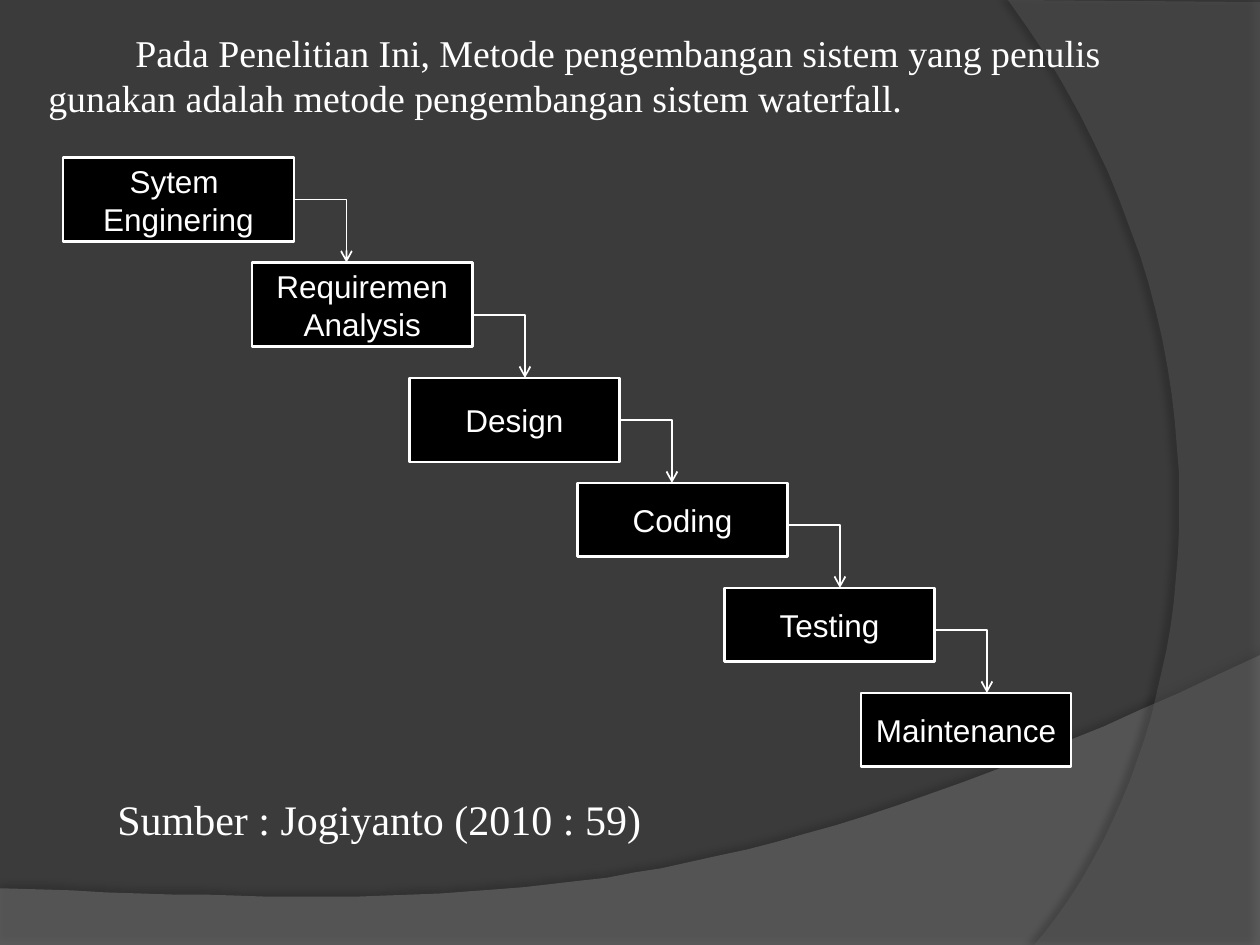
from lxml.etree import SubElement
from pptx import Presentation
from pptx.dml.color import RGBColor
from pptx.enum.shapes import MSO_CONNECTOR, MSO_SHAPE
from pptx.enum.text import MSO_ANCHOR, MSO_AUTO_SIZE, PP_ALIGN
from pptx.oxml.ns import qn
from pptx.util import Pt

UNIT = 7620
INK = {"back": "3B3B3B", "wave": "7F7F7F", "arc": "5E5E5E", "box": "000000", "text": "FFFFFF"}
SERIF, SANS = "Times New Roman", "Arial"
STEPS = [
    ("Sytem \nEnginering", (60, 150, 220, 80), 40),
    ("Requiremen Analysis", (240, 250, 210, 80), 50),
    ("Design", (390, 360, 200, 80), 40),
    ("Coding", (550, 460, 200, 70), 40),
    ("Testing", (690, 560, 200, 70), 40),
    ("Maintenance", (820, 660, 200, 70), 40),
]


def px(*vals):
    """Turn px lengths into EMU."""
    return [val * UNIT for val in vals]


def tint(fmt, name):
    """Give a fill one solid colour."""
    fmt.solid()
    fmt.fore_color.rgb = RGBColor.from_string(INK[name])


def style(frame, face, size, align):
    """Format all paragraphs of a text frame alike."""
    frame.word_wrap = True
    frame.vertical_anchor = MSO_ANCHOR.MIDDLE
    for para in frame.paragraphs:
        para.alignment = align
        para.font.name = face
        para.font.size = Pt(size)
        para.font.color.rgb = RGBColor.from_string(INK["text"])


def curve(start, ctrl, steps=40):
    """List the points of a cubic curve after its start."""
    pts = [start, *ctrl]
    out = []
    for i in range(1, steps + 1):
        t = i / steps
        mix = ((1 - t) ** 3, 3 * t * (1 - t) ** 2, 3 * t * t * (1 - t), t ** 3)
        out.append(tuple(sum(m * p[k] for m, p in zip(mix, pts)) for k in (0, 1)))
    return out


def swoosh(slide, box, name, alpha, edge, ctrl, shade):
    """Draw a see-through curved panel behind all else."""
    left, top = box
    pen = slide.shapes.build_freeform(*edge[0], scale=UNIT)
    pen.add_line_segments(edge[1:] + curve(edge[-1], ctrl), close=True)
    shape = pen.convert_to_shape(*px(left, top))
    tint(shape.fill, name)
    shape.line.fill.background()
    shape.shadow.inherit = False
    props = shape._element.spPr
    color = props.find(qn("a:solidFill"))[0]
    SubElement(color, qn("a:alpha"), val=str(alpha * 1000))
    dark, dist, turn = shade
    cast = SubElement(props.find(qn("a:effectLst")), qn("a:outerShdw"), blurRad=str(Pt(4)),
                      dist=str(Pt(dist)), dir=str(turn * 60000), rotWithShape="0")
    color = SubElement(cast, qn("a:srgbClr"), val="000000")
    SubElement(color, qn("a:alpha"), val=str(dark * 1000))
    return shape._element


def scene(slide):
    """Paint the backdrop with its two curved panels."""
    tint(slide.background.fill, "back")
    wave = swoosh(slide, (0, 624), "wave", 45, [(0, 222), (0, 276), (1200, 276), (1200, 0)],
                  [(671, 251), (469, 239), (0, 222)], (35, 3.5, 270))
    arc = swoosh(slide, (960, 0), "arc", 40, [(0, 0), (240, 2), (240, 900), (25, 900)],
                 [(162, 743), (262, 360), (0, 0)], (45, 4, 180))
    for node in (arc, wave):
        slide.shapes._spTree.insert(2, node)


def intro(slide, box):
    """Fill the title with an indented sentence."""
    title = slide.shapes.title
    title.left, title.top, title.width, title.height = px(*box)
    frame = title.text_frame
    frame.text = ("Pada Penelitian Ini, Metode pengembangan sistem yang penulis "
                  "gunakan adalah metode pengembangan sistem waterfall.")
    frame.auto_size = MSO_AUTO_SIZE.NONE
    frame.margin_left = frame.margin_right = frame.margin_top = frame.margin_bottom = 6 * UNIT
    style(frame, SERIF, 21.6, PP_ALIGN.LEFT)
    frame.paragraphs[0]._p.get_or_add_pPr().set("indent", str(83 * UNIT))


def credit(slide, box):
    """Write the source line."""
    frame = slide.shapes.add_textbox(*px(*box)).text_frame
    frame.text = "Sumber : Jogiyanto (2010 : 59)"
    style(frame, SERIF, 24, PP_ALIGN.JUSTIFY)


def stage(slide, text, box):
    """Draw one framed stage."""
    shape = slide.shapes.add_shape(MSO_SHAPE.RECTANGLE, *px(*box))
    shape.shadow.inherit = False
    tint(shape.fill, "box")
    tint(shape.line.fill, "text")
    shape.line.width = Pt(1.5)
    shape.text_frame.text = text
    style(shape.text_frame, SANS, 18, PP_ALIGN.CENTER)


def arrow(slide, x, y):
    """Draw a bent arrow that goes right, then down."""
    link = slide.shapes.add_connector(MSO_CONNECTOR.ELBOW, *px(x, y, x + 50, y + 60))
    tint(link.line.fill, "text")
    link.line.width = Pt(1)
    props = link._element.spPr
    props.find(qn("a:prstGeom")).set("prst", "bentConnector2")
    SubElement(props.find(qn("a:ln")), qn("a:tailEnd"), type="arrow")
    SubElement(props, qn("a:effectLst"))


def cascade(slide):
    """Lay out the stages and the arrows between them."""
    for text, box, _ in STEPS:
        stage(slide, text, box)
    for _, (left, top, width, _), drop in STEPS[:-1]:
        arrow(slide, left + width, top + drop)


def main():
    """Build and save the slide."""
    deck = Presentation()
    deck.slide_width, deck.slide_height = px(1200, 900)
    slide = deck.slides.add_slide(deck.slide_layouts[5])
    scene(slide)
    intro(slide, (40, 30, 1090, 83))
    credit(slide, (100, 750, 540, 60))
    cascade(slide)
    deck.save("out.pptx")


if __name__ == "__main__":
    main()
